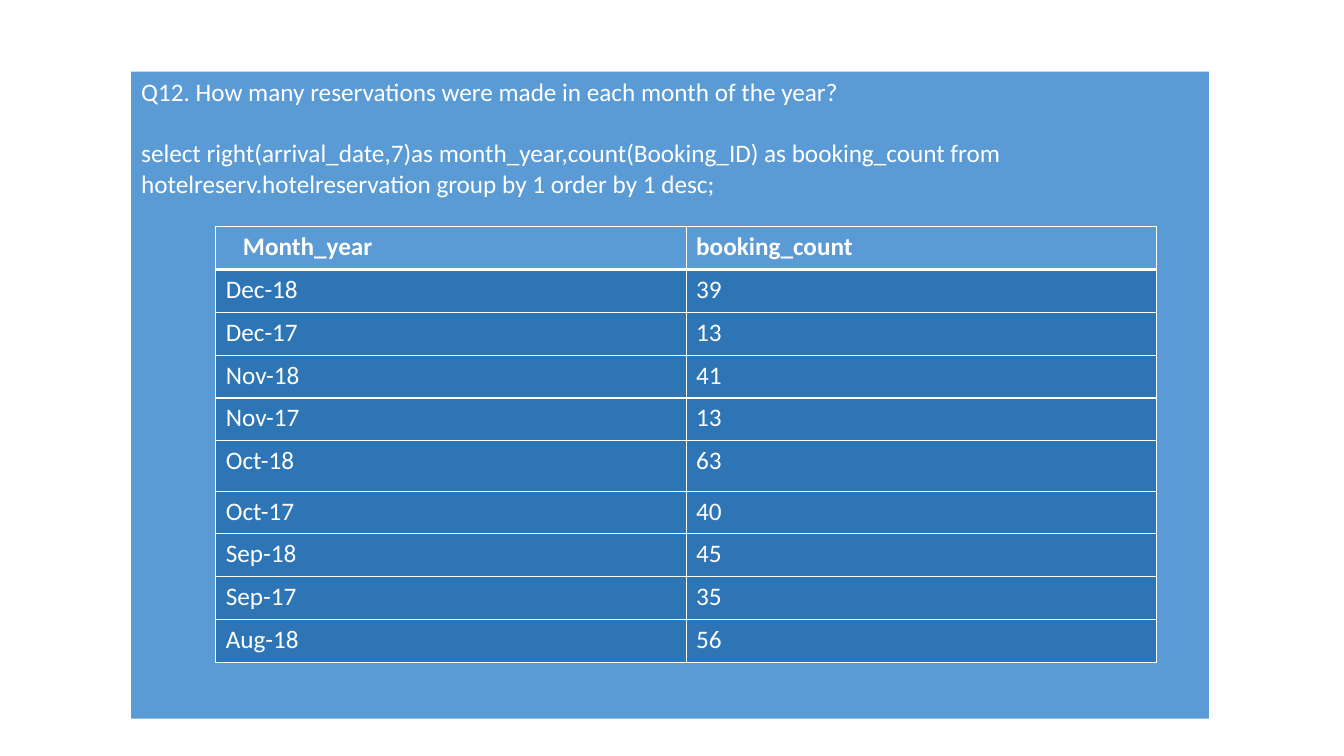
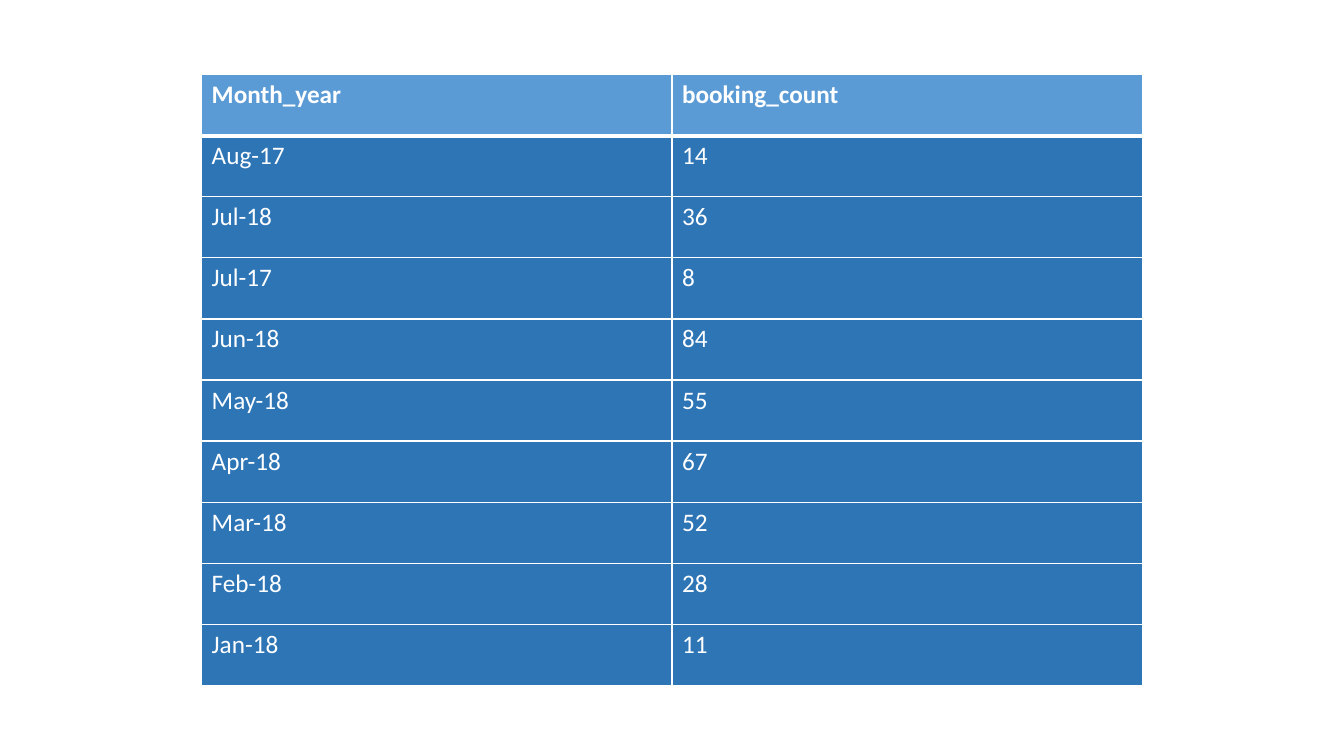
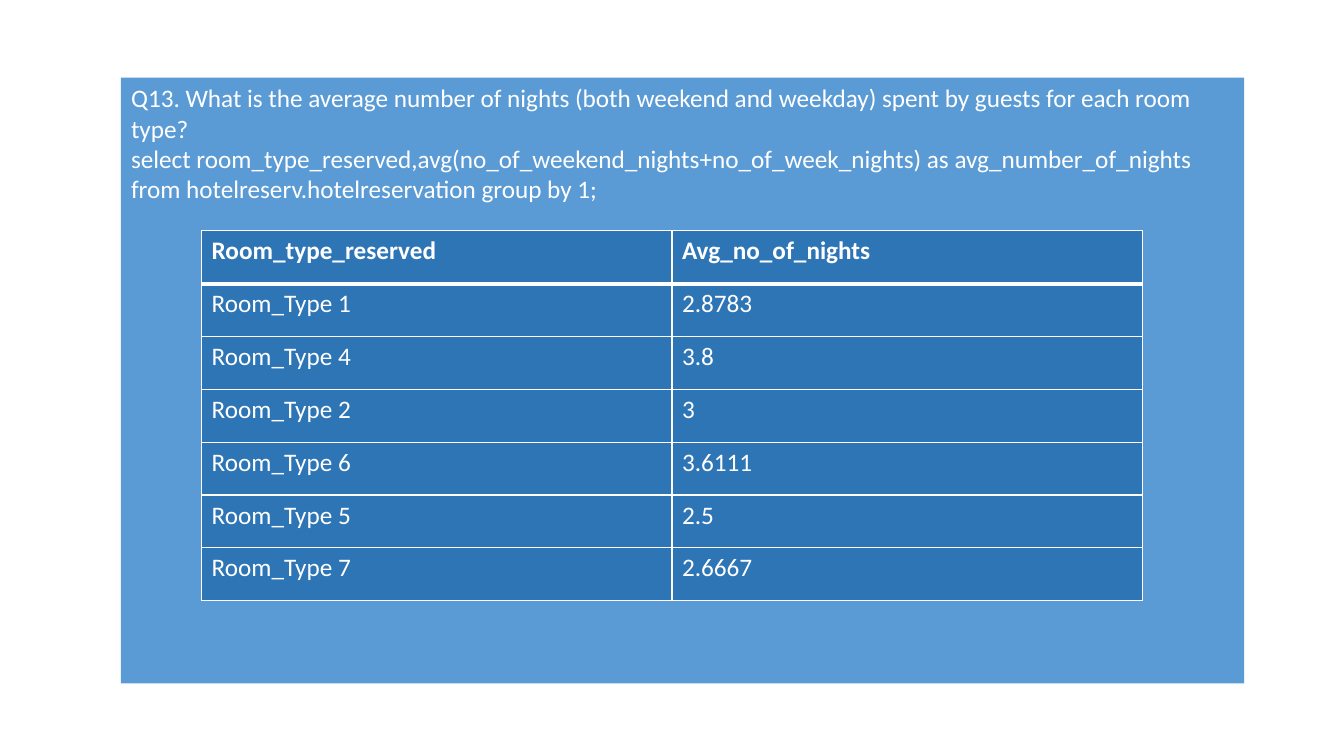
from dataclasses import dataclass

from lxml import etree
from pptx import Presentation
from pptx.dml.color import RGBColor
from pptx.enum.text import MSO_ANCHOR, MSO_AUTO_SIZE, PP_ALIGN
from pptx.oxml.ns import qn
from pptx.util import Inches, Pt

LEFT = PP_ALIGN.LEFT
TOP = MSO_ANCHOR.TOP
NO_AUTOFIT = MSO_AUTO_SIZE.NONE
TITLE_ONLY, BLANK = 5, 6


@dataclass(frozen=True)
class Theme:
    font: str = "Calibri"
    size: int = 18
    line_gap: int = 22
    ink: str = "FFFFFF"
    panel: str = "5B9BD5"
    cell: str = "2E75B6"
    rule: int = 1
    header_rule: int = 3


@dataclass(frozen=True)
class Box:
    left: float
    top: float
    width: float
    height: float

    def inset(self, left, top, width, height):
        return Box(self.left + left, self.top + top, width, height)

    def lengths(self):
        return [Inches(value) for value in (self.left, self.top, self.width, self.height)]


THEME = Theme()
MONTH_HEADER = ("Month_year", "booking_count")
LATE_MONTHS = [
    ("Dec-18", "39"), ("Dec-17", "13"), ("Nov-18", "41"),
    ("Nov-17", "13"), ("Oct-18", "63"), ("Oct-17", "40"),
    ("Sep-18", "45"), ("Sep-17", "35"), ("Aug-18", "56"),
]
EARLY_MONTHS = [
    ("Aug-17", "14"), ("Jul-18", "36"), ("Jul-17", "8"),
    ("Jun-18", "84"), ("May-18", "55"), ("Apr-18", "67"),
    ("Mar-18", "52"), ("Feb-18", "28"), ("Jan-18", "11"),
]
ROOM_HEADER = ("Room_type_reserved", "Avg_no_of_nights")
ROOM_NIGHTS = [
    ("Room_Type 1", "2.8783"), ("Room_Type 4", "3.8"), ("Room_Type 2", "3"),
    ("Room_Type 6", "3.6111"), ("Room_Type 5", "2.5"), ("Room_Type 7", "2.6667"),
]


def write_text(para, text, bold=False, space_before=0):
    para.alignment = LEFT
    para.space_before = Pt(space_before)
    span = para.add_run()
    span.text = text
    span.font.name = THEME.font
    span.font.size = Pt(THEME.size)
    span.font.bold = bold
    span.font.color.rgb = RGBColor.from_string(THEME.ink)


def fill_solid(target, color):
    target.fill.solid()
    target.fill.fore_color.rgb = RGBColor.from_string(color)


def set_borders(cell, **widths):
    properties = cell._tc.get_or_add_tcPr()
    for position, side in enumerate("LRTB"):
        width = widths.get(side, THEME.rule)
        line = etree.Element(qn(f"a:ln{side}"), w=str(Pt(width)))
        solid = etree.SubElement(line, qn("a:solidFill"))
        etree.SubElement(solid, qn("a:srgbClr"), val=THEME.ink)
        properties.insert(position, line)


def add_panel(page, box, question, query, query_gap=0):
    panel = page.shapes.title
    panel.left, panel.top, panel.width, panel.height = box.lengths()
    fill_solid(panel, THEME.panel)
    frame = panel.text_frame
    frame.word_wrap = True
    frame.auto_size = NO_AUTOFIT
    frame.vertical_anchor = TOP
    write_text(frame.paragraphs[0], question)
    write_text(frame.add_paragraph(), query, space_before=query_gap)


def add_result_table(page, box, header, records, header_fill, tall_rows=None):
    rows = [header, *records]
    tall_rows = tall_rows or {}
    even_height = (box.height - sum(tall_rows.values())) / (len(rows) - len(tall_rows))
    table = page.shapes.add_table(len(rows), len(header), *box.lengths()).table
    table.horz_banding = False
    for column in table.columns:
        column.width = Inches(box.width / len(header))
    for row_index, values in enumerate(rows):
        table.rows[row_index].height = Inches(tall_rows.get(row_index, even_height))
        is_header = row_index == 0
        for column_index, value in enumerate(values):
            cell = table.cell(row_index, column_index)
            fill_solid(cell, header_fill if is_header else THEME.cell)
            set_borders(
                cell,
                T=THEME.header_rule if row_index == 1 else THEME.rule,
                B=THEME.header_rule if is_header else THEME.rule,
            )
            write_text(cell.text_frame.paragraphs[0], value, bold=is_header)
    return table


def add_page(deck, layout):
    return deck.slides.add_slide(deck.slide_layouts[layout])


def build_late_months(deck):
    page = add_page(deck, TITLE_ONLY)
    box = Box(1.3, 0.71, 10.69, 6.42)
    add_panel(
        page, box,
        "Q12. How many reservations were made in each month of the year?",
        "select right(arrival_date,7)as month_year,count(Booking_ID) as booking_count "
        "from hotelreserv.hotelreservation group by 1 order by 1 desc;",
        query_gap=THEME.line_gap,
    )
    table = add_result_table(
        page, box.inset(0.84, 1.54, 9.33, 4.32), MONTH_HEADER, LATE_MONTHS,
        THEME.panel, tall_rows={5: 0.5},
    )
    table.cell(0, 0).margin_left = Inches(0.27)


def build_early_months(deck):
    page = add_page(deck, BLANK)
    add_result_table(
        page, Box(2, 0.74, 9.33, 6.06), MONTH_HEADER, EARLY_MONTHS, THEME.panel
    )


def build_room_nights(deck):
    page = add_page(deck, TITLE_ONLY)
    box = Box(1.2, 0.77, 11.14, 6.01)
    add_panel(
        page, box,
        "Q13. What is the average number of nights (both weekend and weekday) "
        "spent by guests for each room type?",
        "select room_type_reserved,avg(no_of_weekend_nights+no_of_week_nights) as "
        "avg_number_of_nights from hotelreserv.hotelreservation group by 1;",
    )
    add_result_table(
        page, box.inset(0.8, 1.52, 9.33, 3.67), ROOM_HEADER, ROOM_NIGHTS, THEME.cell
    )


def main():
    deck = Presentation()
    deck.slide_width = Inches(13.33)
    deck.slide_height = Inches(7.5)
    build_late_months(deck)
    build_early_months(deck)
    build_room_nights(deck)
    deck.save("out.pptx")


if __name__ == "__main__":
    main()
